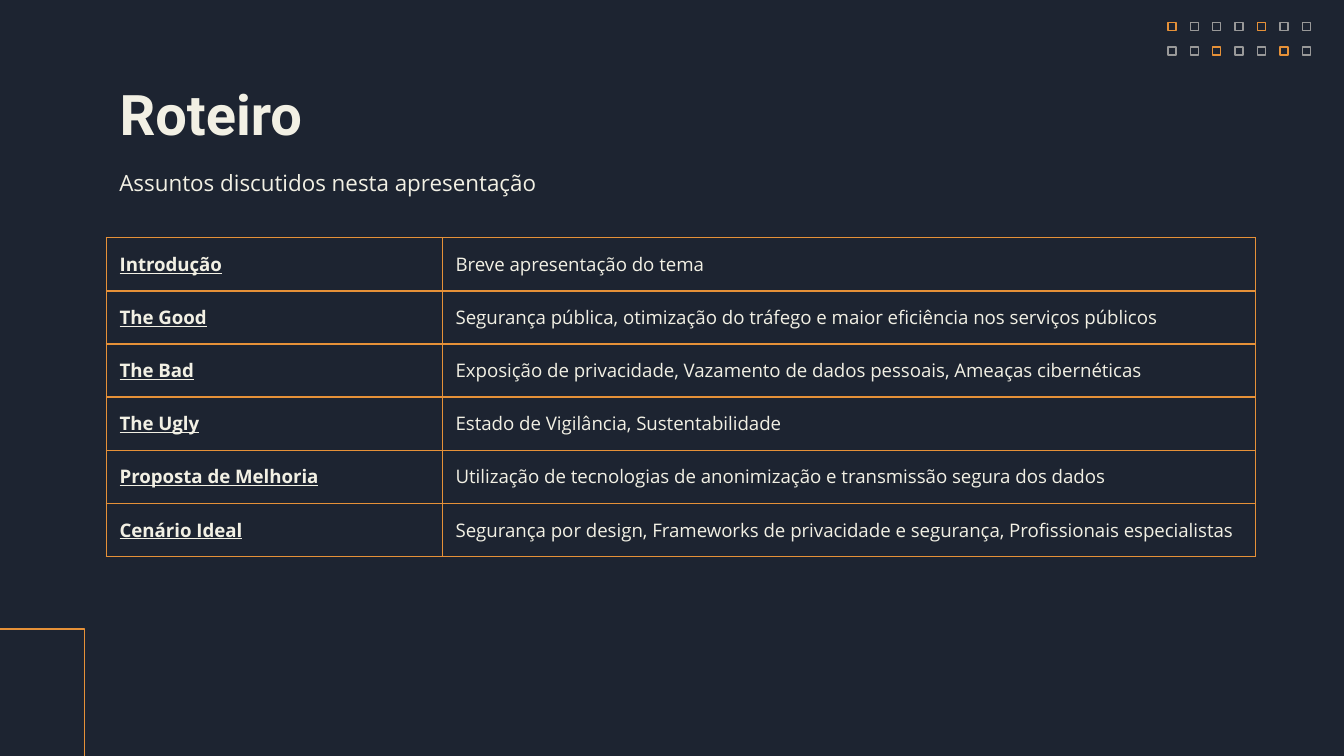
from dataclasses import dataclass

from lxml import etree
from pptx import Presentation
from pptx import util as u
from pptx.dml.color import RGBColor
from pptx.enum import shapes, text
from pptx.oxml import ns

WIDE = 10
HIGH = WIDE * 9 / 16
NIGHT, CREAM, ORANGE, GREY = "1D2431", "F2F0E4", "E69138", "999999"


@dataclass
class Box:
    x: float
    y: float
    w: float
    h: float

    def emu(self) -> list:
        return [u.Inches(v) for v in (self.x, self.y, self.w, self.h)]


@dataclass
class Style:
    font: str
    size: float
    bold: bool = False
    line: bool = False


@dataclass
class Topic:
    name: str
    note: str


HEAD = Style("Roboto", 30, bold=True)
SUB = Style("Open Sans", 12)
NAME = Style("Open Sans", 10, bold=True, line=True)
NOTE = Style("Open Sans", 10)

TOPICS = [
    Topic("Introdução", "Breve apresentação do tema"),
    Topic("The Good", "Segurança pública, otimização do tráfego e maior eficiência nos serviços públicos"),
    Topic("The Bad", "Exposição de privacidade, Vazamento de dados pessoais, Ameaças cibernéticas"),
    Topic("The Ugly", "Estado de Vigilância, Sustentabilidade"),
    Topic("Proposta de Melhoria", "Utilização de tecnologias de anonimização e transmissão segura dos dados"),
    Topic("Cenário Ideal", "Segurança por design, Frameworks de privacidade e segurança, Profissionais especialistas"),
]
DOTS = ["o---o--", "--o--o-"]


def tint(hue: str) -> RGBColor:
    return RGBColor.from_string(hue)


def write(para, words: str, style: Style) -> None:
    para.alignment = text.PP_ALIGN.LEFT
    run = para.add_run()
    run.text = words
    font = run.font
    font.name, font.size = style.font, u.Pt(style.size)
    font.bold, font.underline = style.bold, style.line
    font.color.rgb = tint(CREAM)


def label(shape, box: Box, words: str, style: Style) -> None:
    shape.left, shape.top, shape.width, shape.height = box.emu()
    frame = shape.text_frame
    frame.word_wrap = True
    frame.auto_size = text.MSO_AUTO_SIZE.NONE
    frame.vertical_anchor = text.MSO_ANCHOR.TOP
    frame.margin_left = frame.margin_right = u.Inches(0.1)
    frame.margin_top = frame.margin_bottom = u.Inches(0.1)
    write(frame.paragraphs[0], words, style)


def square(slide, box: Box, hue: str) -> None:
    shape = slide.shapes.add_shape(shapes.MSO_SHAPE.RECTANGLE, *box.emu())
    shape.shadow.inherit = False
    shape.fill.background()
    shape.line.color.rgb = tint(hue)
    shape.line.width = u.Pt(0.75)


def border(cell, hue: str) -> None:
    props = cell._tc.get_or_add_tcPr()
    for spot, side in enumerate(("a:lnL", "a:lnR", "a:lnT", "a:lnB")):
        line = etree.Element(ns.qn(side), w=str(u.Pt(0.75)))
        fill = etree.SubElement(line, ns.qn("a:solidFill"))
        etree.SubElement(fill, ns.qn("a:srgbClr"), val=hue)
        props.insert(spot, line)


def fill(cell, words: str, style: Style, after: float) -> None:
    cell.fill.background()
    cell.vertical_anchor = text.MSO_ANCHOR.MIDDLE
    cell.margin_left = cell.margin_right = u.Inches(0.1)
    cell.margin_top = cell.margin_bottom = 0
    para = cell.text_frame.paragraphs[0]
    para.space_after = u.Pt(after)
    write(para, words, style)
    border(cell, ORANGE)


def agenda(slide, box: Box, topics: list[Topic]) -> None:
    table = slide.shapes.add_table(len(topics), 2, *box.emu()).table
    table.first_row = table.horz_banding = False
    table.columns[0].width = u.Inches(2.5)
    table.columns[1].width = u.Inches(box.w - 2.5)
    for row, topic in enumerate(topics):
        fill(table.cell(row, 0), topic.name, NAME, 0)
        fill(table.cell(row, 1), topic.note, NOTE, 16)


def main() -> None:
    deck = Presentation()
    deck.slide_width, deck.slide_height = u.Inches(WIDE), u.Inches(HIGH)
    slide = deck.slides.add_slide(deck.slide_layouts[5])
    back = slide.background.fill
    back.solid()
    back.fore_color.rgb = tint(NIGHT)

    left, span = 0.79, 8.43
    label(slide.shapes.title, Box(left, 0.49, span, 0.63), "Roteiro", HEAD)

    for row, marks in enumerate(DOTS):
        for col, mark in enumerate(marks):
            spot = Box(8.69 + col / 6, 0.17 + row * 0.18, 0.06, 0.06)
            square(slide, spot, ORANGE if mark == "o" else GREY)
    square(slide, Box(-0.77, 4.68, 1.4, 1.4), ORANGE)

    agenda(slide, Box(left, 1.77, 8.55, 2.37), TOPICS)
    sub = Box(left, 1.16, span, 0.4)
    label(slide.shapes.add_textbox(*sub.emu()), sub, "Assuntos discutidos nesta apresentação", SUB)
    deck.save("out.pptx")


if __name__ == "__main__":
    main()
